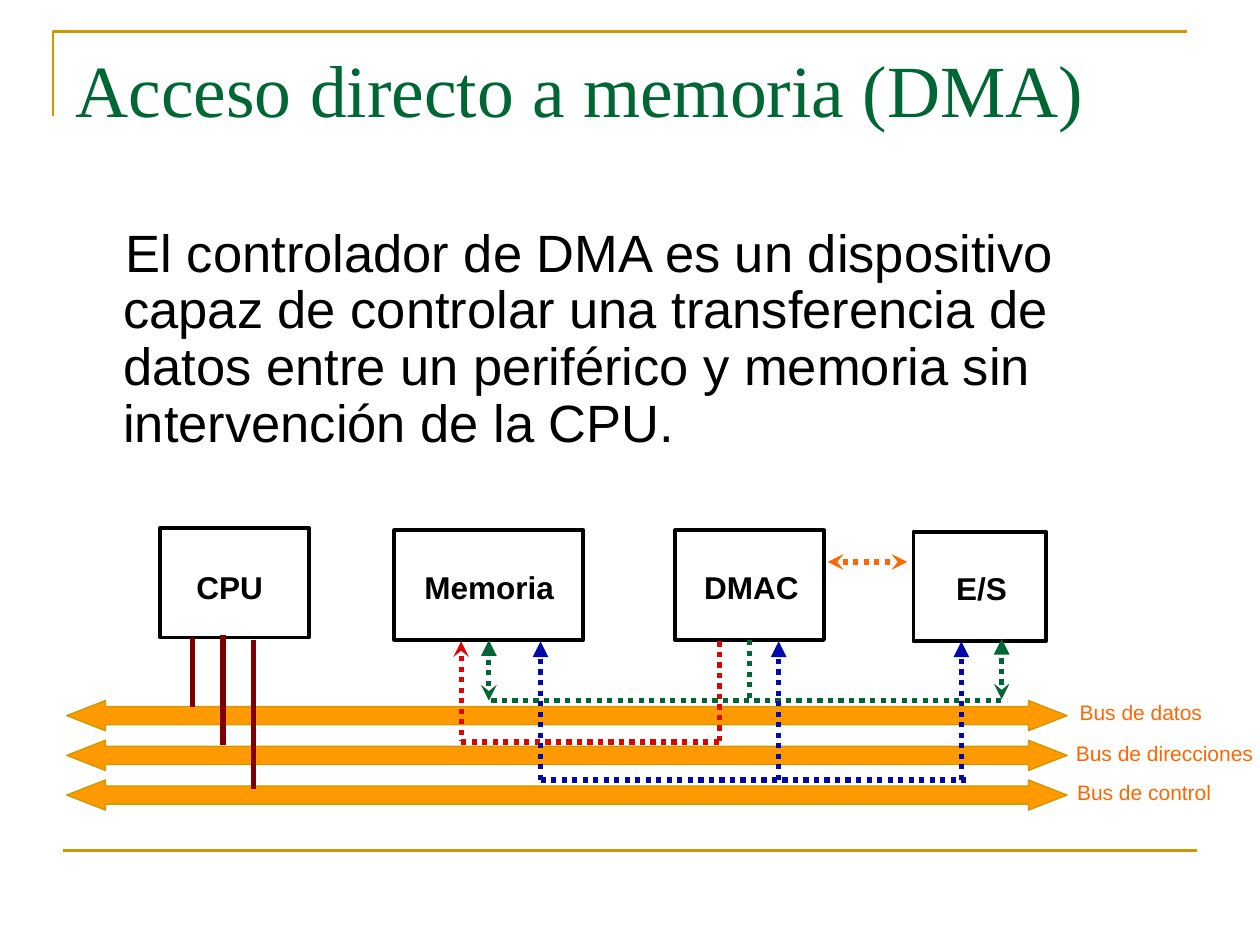
from lxml import etree
from pptx import Presentation
from pptx.dml.color import RGBColor
from pptx.enum.dml import MSO_LINE
from pptx.enum.shapes import MSO_CONNECTOR, MSO_SHAPE
from pptx.enum.text import MSO_ANCHOR, MSO_AUTO_SIZE, PP_ALIGN
from pptx.oxml.ns import qn
from pptx.util import Inches, Pt

DOTTED = MSO_LINE.ROUND_DOT
STRAIGHT = MSO_CONNECTOR.STRAIGHT
RECTANGLE = MSO_SHAPE.RECTANGLE
DOUBLE_ARROW = MSO_SHAPE.LEFT_RIGHT_ARROW
TOP = MSO_ANCHOR.TOP
LEFT = PP_ALIGN.LEFT
FIXED = MSO_AUTO_SIZE.NONE
BOTTOM_SIDE = 2

GOLD, ORANGE, LABEL = "CC9900", "FF9900", "FF6600"
GREEN, RED, BLUE, MAROON, BLACK = "006633", "D90601", "0109AB", "800000", "000000"
colour = RGBColor.from_string

deck = Presentation()
deck.slide_width, deck.slide_height = Inches(10), Inches(7.5)
CELL = deck.slide_width / 100
page = deck.slides.add_slide(deck.slide_layouts[5])


def cells(*counts):
    return [round(CELL * count) for count in counts]


def add_line(ends, hue, width=3, dash=None, head=None, tail=None):
    line = page.shapes.add_connector(STRAIGHT, *cells(*ends))
    line.line.color.rgb = colour(hue)
    line.line.width = Pt(width)
    if dash:
        line.line.dash_style = dash
    outline = line.line._get_or_add_ln()
    for tag, arrow in (("a:headEnd", head), ("a:tailEnd", tail)):
        if arrow:
            etree.SubElement(outline, qn(tag), type=arrow)
    etree.SubElement(line._element.spPr, qn("a:effectLst"))
    return line


left, top, right, bottom = cells(4.2, 2.5, 94.2, 9.2)
builder = page.shapes.build_freeform(left, bottom)
builder.add_line_segments([(left, top), (right, top)], close=False)
corner = builder.convert_to_shape()
corner.shadow.inherit = False
corner.fill.background()
corner.line.color.rgb = colour(GOLD)
corner.line.width = Pt(1.5)
add_line((5, 67.5, 95, 67.5), GOLD, 1.5)

title = page.shapes.title
title.left, title.top, title.width, title.height = cells(5, 3, 90, 12.5)
body = page.shapes.add_textbox(*cells(5, 17.5, 90, 20.8))
texts = [
    (title, "Acceso directo a memoria (DMA)", 42, "Times New Roman", GREEN, False),
    (body, "El controlador de DMA es un dispositivo capaz de controlar una "
     "transferencia de datos entre un periférico y memoria sin intervención "
     "de la CPU.", 30, "Arial", BLACK, False),
]
for name, x, y, width, height, size, hue, bold in (
    ("CPU", 14.6, 44.6, 7.3, 4, 18, BLACK, True),
    ("Memoria", 32.7, 44.6, 12.3, 4, 18, BLACK, True),
    ("DMAC", 54.9, 44.6, 9.5, 4, 18, BLACK, True),
    ("E/S", 74.9, 44.7, 6, 4, 18, BLACK, True),
    ("Bus de datos", 84.7, 55, 11.7, 3, 12, LABEL, False),
    ("Bus de direcciones", 84.4, 58.3, 16.1, 3, 12, LABEL, False),
    ("Bus de control", 84.5, 61.4, 12.6, 3, 12, LABEL, False),
):
    label = page.shapes.add_textbox(*cells(x, y, width, height))
    texts.append((label, name, size, "Arial", hue, bold))

for box, words, size, font, hue, bold in texts:
    frame = box.text_frame
    frame.word_wrap = box in (title, body)
    frame.auto_size = FIXED
    frame.vertical_anchor = TOP
    para = frame.paragraphs[0]
    para.alignment = LEFT
    span = para.add_run()
    span.text = words
    span.font.size = Pt(size)
    span.font.name = font
    span.font.bold = bold
    span.font.color.rgb = colour(hue)

para = body.text_frame.paragraphs[0]
para.line_spacing = 0.9
para.space_before = Pt(7.5)
margins = para._p.get_or_add_pPr()
margins.set("marL", str(Inches(0.38)))
margins.set("indent", str(Inches(0.02)))

units = {}
for name, x, y, width in (
    ("CPU", 12.7, 41.9, 11.8),
    ("Memoria", 31.3, 42.1, 15),
    ("DMAC", 53.6, 42.1, 11.8),
    ("E/S", 72.5, 42.2, 10.5),
):
    unit = page.shapes.add_shape(RECTANGLE, *cells(x, y, width, 8.7))
    unit.shadow.inherit = False
    unit.fill.background()
    unit.line.color.rgb = colour(BLACK)
    unit.line.width = Pt(2.25)
    units[name] = unit

for row in range(3):
    bus = page.shapes.add_shape(DOUBLE_ARROW, *cells(5.3, 55.6 + 3.15 * row, 79.4, 2.4))
    bus.adjustments[0], bus.adjustments[1] = 0.6, 1.28
    bus.shadow.inherit = False
    bus.fill.solid()
    bus.fill.fore_color.rgb = colour(ORANGE)
    bus.line.color.rgb = colour(GOLD)
    bus.line.width = Pt(0.75)

for x, start, end in ((15.3, 50.6, 56.1), (17.7, 50.4, 59.1), (20.1, 50.8, 62.6)):
    add_line((x, start, x, end), MAROON)

add_line((39, 55.6, 79.9, 55.6), GREEN, dash=DOTTED)
memory_data = add_line((38.8, 55.6, 38.8, 50.8), GREEN, dash=DOTTED, head="stealth", tail="triangle")
memory_data.end_connect(units["Memoria"], BOTTOM_SIDE)
add_line((79.5, 55.5, 79.5, 50.7), GREEN, dash=DOTTED, head="stealth", tail="triangle")
dmac_data = add_line((59.5, 50.8, 59.5, 55.6), GREEN, dash=DOTTED)
dmac_data.begin_connect(units["DMAC"], BOTTOM_SIDE)

add_line((57.1, 50.9, 57.1, 58.8), RED, dash=DOTTED)
add_line((36.6, 50.9, 36.6, 58.8), RED, dash=DOTTED, head="stealth")
add_line((36.6, 58.9, 57.1, 58.9), RED, dash=DOTTED)

add_line((42.9, 61.9, 76.8, 61.9), BLUE, dash=DOTTED)
for x in (42.9, 76.3, 61.8):
    add_line((x, 61.9, x, 50.9), BLUE, dash=DOTTED, tail="triangle")

add_line((65.7, 44.6, 72, 44.6), LABEL, dash=DOTTED, head="stealth", tail="stealth")

deck.save("out.pptx")
